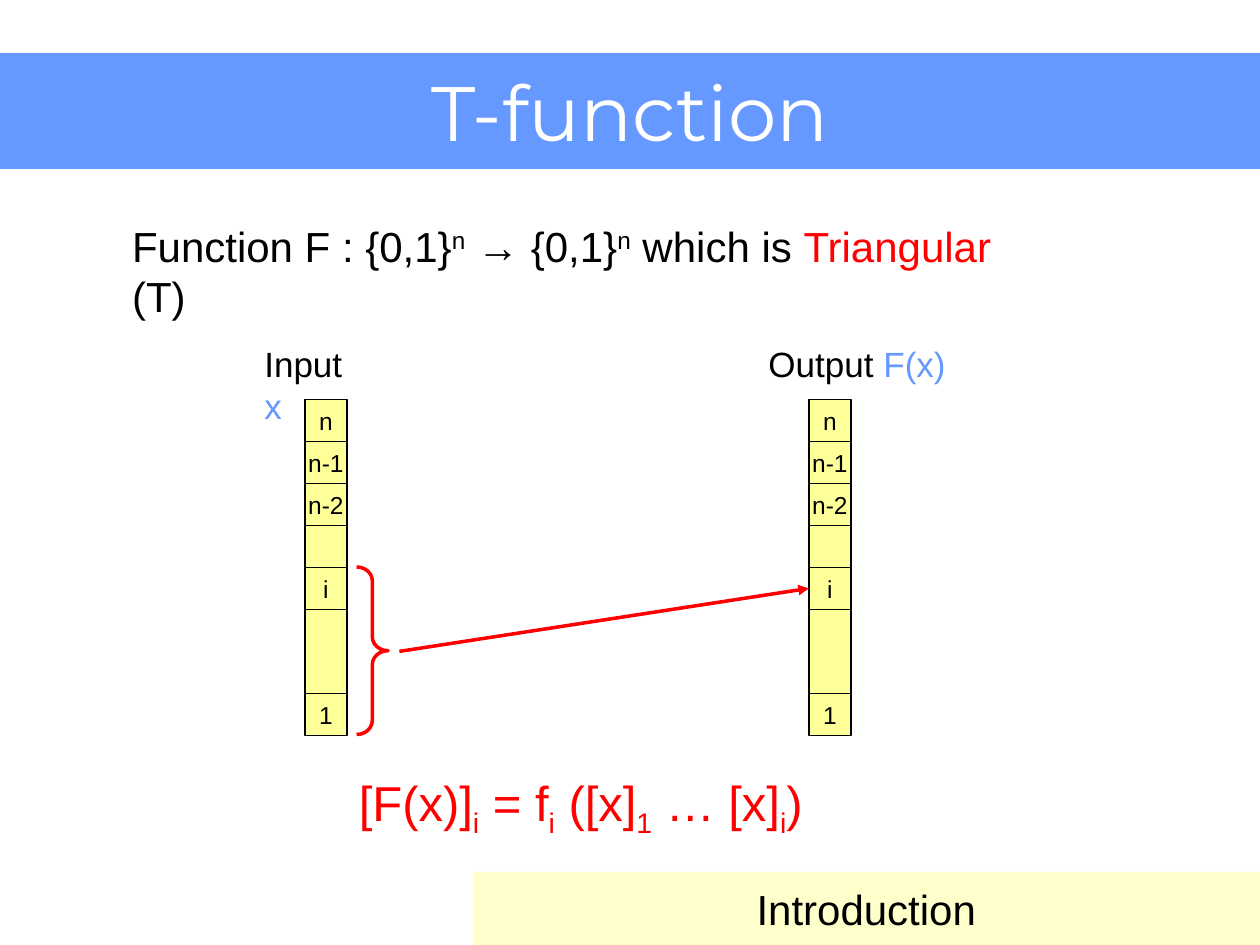
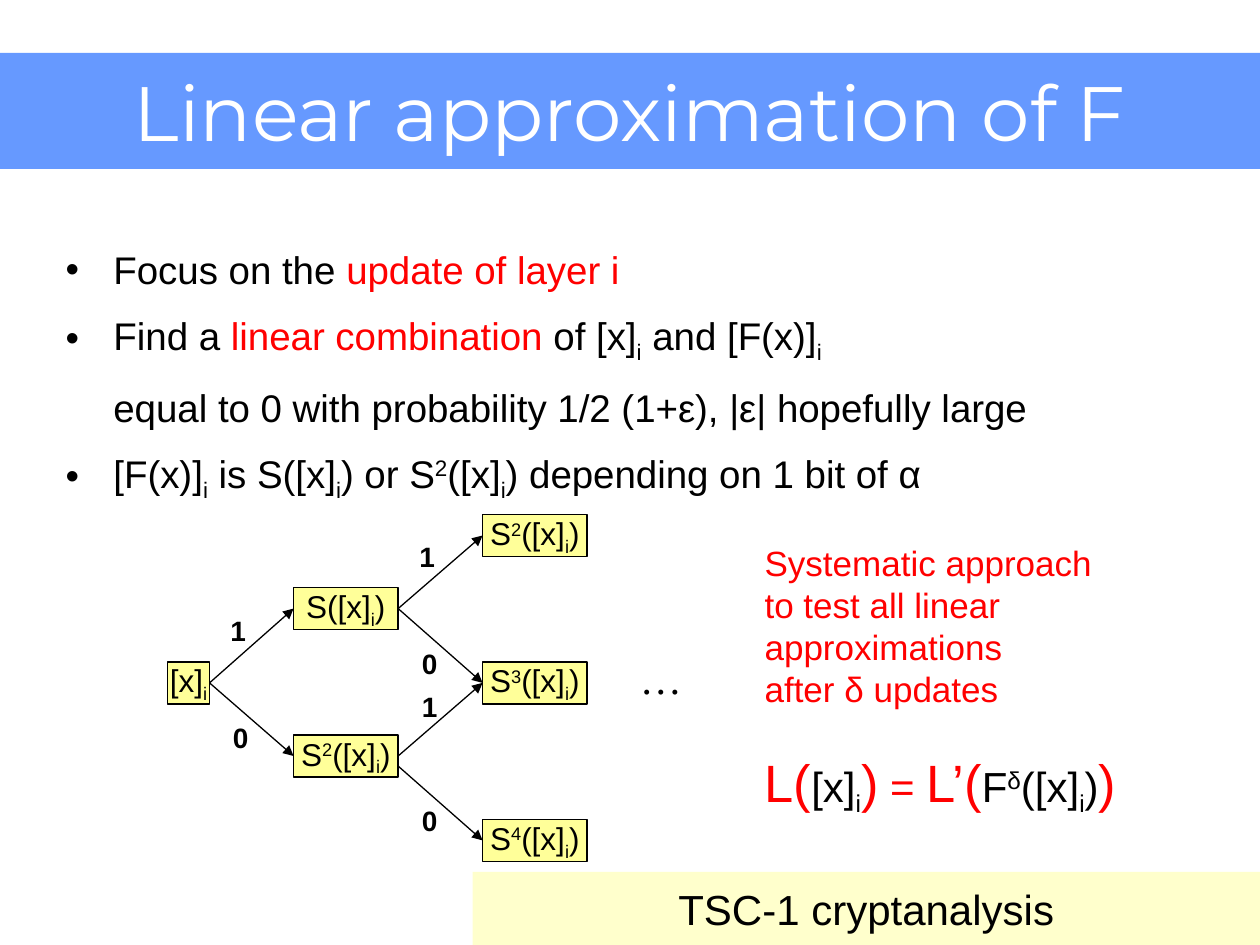
import pptx
import pptx.util
import pptx.dml.color
import pptx.enum.shapes
import pptx.enum.text
import pptx.oxml.ns
import lxml.etree

Inches = pptx.util.Inches
SHAPE = pptx.enum.shapes.MSO_SHAPE
ALIGN = pptx.enum.text.PP_ALIGN
CENTER = ALIGN.CENTER
MIDDLE = pptx.enum.text.MSO_ANCHOR.MIDDLE
SIDE = 1 / 3  # height of every box, width of a bit cell


class Theme:
    # Colours
    black, white, red = "000000", "FFFFFF", "FF0000"
    blue, cell, band = "6699FF", "FFFF99", "FFFFCC"
    # Fonts
    font, head, serif = "Arial", "Montserrat", "Times New Roman"
    # Type sizes
    title, law, big, lead, list, label, node, edge, bit = (
        44, 28, 30, 24, 22, 20, 18, 16, 14)
    # Line widths
    thin, thick = 0.75, 2


def color(code):
    return pptx.dml.color.RGBColor.from_string(code)


def child(parent, tag, **attrs):
    name = pptx.oxml.ns.qn("a:" + tag)
    return lxml.etree.SubElement(parent, name, attrs)


# ---- Text ----

def split(text):
    """Cut text into (part, shift); _ lowers and ^ lifts the next letter."""
    shifts = {"_": "-25000", "^": "30000"}
    parts, plain, shift = [], "", None
    for char in text:
        if char in shifts:
            shift = shifts[char]
        elif shift:
            parts += [(plain, None), (char, shift)]
            plain, shift = "", None
        else:
            plain += char
    parts.append((plain, None))
    return [part for part in parts if part[0]]


def write(par, pieces, size, font=Theme.font, tint=Theme.black, bold=False):
    """Fill a paragraph; a piece is text or (text, colour[, size])."""
    for piece in [pieces] if isinstance(pieces, str) else pieces:
        text, *style = [piece] if isinstance(piece, str) else piece
        for part, shift in split(text):
            run = par.add_run()
            run.text = part
            run.font.name = font
            run.font.size = pptx.util.Pt(style[1] if len(style) > 1 else size)
            run.font.bold = bold
            run.font.color.rgb = color(style[0] if style else tint)
            if shift:
                run.font._element.set("baseline", shift)


def label(slide, box, lines, size, wrap=False, **style):
    shape = slide.shapes.add_textbox(*map(Inches, box))
    frame = shape.text_frame
    frame.word_wrap = wrap
    for i, line in enumerate(lines):
        par = frame.add_paragraph() if i else frame.paragraphs[0]
        write(par, line, size, **style)
    return frame


# ---- Shapes ----

def block(slide, box, pieces, size, fill=Theme.cell, line=Theme.black):
    shape = slide.shapes.add_shape(SHAPE.RECTANGLE, *map(Inches, box))
    shape.shadow.inherit = False
    shape.fill.solid()
    shape.fill.fore_color.rgb = color(fill)
    if line:
        shape.line.color.rgb = color(line)
        shape.line.width = pptx.util.Pt(Theme.thin)
    else:
        shape.line.fill.background()
    frame = shape.text_frame
    frame.word_wrap = False
    frame.vertical_anchor = MIDDLE
    frame.paragraphs[0].alignment = CENTER
    write(frame.paragraphs[0], pieces, size)


def arrow(slide, start, end, tint=Theme.black, width=Theme.thin):
    kind = pptx.enum.shapes.MSO_CONNECTOR.STRAIGHT
    line = slide.shapes.add_connector(kind, *map(Inches, start + end))
    line.line.color.rgb = color(tint)
    line.line.width = pptx.util.Pt(width)
    child(line.line._get_or_add_ln(), "tailEnd", type="triangle")
    child(line._element.spPr, "effectLst")


def brace(slide, box):
    shape = slide.shapes.add_shape(SHAPE.RIGHT_BRACE, *map(Inches, box))
    shape.shadow.inherit = False
    shape.fill.background()
    shape.line.color.rgb = color(Theme.red)
    shape.line.width = pptx.util.Pt(Theme.thick)
    shape.adjustments[0] = 0.44


# ---- Shared page parts ----

def place(holder, box):
    holder.left, holder.top, holder.width, holder.height = map(Inches, box)
    holder.text_frame.auto_size = pptx.enum.text.MSO_AUTO_SIZE.NONE
    holder.text_frame.word_wrap = True


def page(deck, layout, title, topic):
    slide = deck.slides.add_slide(deck.slide_layouts.get_by_name(layout))
    head = slide.shapes.title
    place(head, (0, 0.42, 10, 0.92))
    head.fill.solid()
    head.fill.fore_color.rgb = color(Theme.blue)
    head.text_frame.vertical_anchor = MIDDLE
    par = head.text_frame.paragraphs[0]
    par.alignment = CENTER
    write(par, title, Theme.title, Theme.head, Theme.white)
    block(slide, (3.75, 6.92, 6.25, 0.58), topic, Theme.lead, Theme.band, None)
    return slide


def points(slide, items):
    """Fill the body; an item is (has a bullet, pieces)."""
    body = slide.placeholders[1]
    place(body, (0.42, 1.83, 9.25, 4.83))
    frame = body.text_frame
    for i, (dot, pieces) in enumerate(items):
        par = frame.add_paragraph() if i else frame.paragraphs[0]
        par.line_spacing = 1.2
        par.space_before = pptx.util.Pt(5.5)
        props = par._p.get_or_add_pPr()
        props.set("marL", str(Inches(0.38)))
        props.set("indent", str(Inches(-0.38 if dot else 0)))
        if dot:
            child(props, "buChar", char="•")
        else:
            child(props, "buNone")
        write(par, pieces, Theme.list)


# ---- Slide content ----

def column(slide, left):
    """Stack the bits of a word; a row is (text, height in cells)."""
    rows = [("n", 1), ("n-1", 1), ("n-2", 1), ("", 1), ("i", 1), ("", 2), ("1", 1)]
    top = 3.17
    for text, cells in rows:
        block(slide, (left, top, SIDE, cells * SIDE), text, Theme.bit)
        top += cells * SIDE


def define(deck):
    slide = page(deck, "Title Only", "T-function", "Introduction")
    label(slide, (0.95, 1.7, 7.48, 0.5),
          [["Function F : {0,1}^n → {0,1}^n which is ",
            ("Triangular", Theme.red), " (T)"]], Theme.lead, wrap=True)

    # Input and output words
    for left, width, name, value in [(2, 1.03, "Input ", "x"),
                                     (6, 1.61, "Output ", "F(x)")]:
        label(slide, (left, 2.67, width, 0.44),
              [[name, (value, Theme.blue)]], Theme.label)
        column(slide, left + 0.42)

    # Low bits that decide bit i
    brace(slide, (2.83, 4.5, 0.25, 1.33))
    arrow(slide, (3.17, 5.17), (6.42, 4.67), Theme.red, Theme.thick)
    label(slide, (2.75, 6.08, 4.36, 0.63), ["[F(x)]_i = f_i ([x]_1 … [x]_i)"],
          Theme.law, wrap=True, tint=Theme.red)


def tree(slide):
    # Nodes: left, middle, width, text
    nodes = {
        "x": (1.33, 5.42, SIDE, "[x]_i"),
        "s1": (2.33, 4.83, 0.83, "S([x]_i)"),
        "s2": (2.33, 6, 0.83, "S^2([x]_i)"),
        "up": (3.83, 4.25, 0.83, "S^2([x]_i)"),
        "mid": (3.83, 5.42, 0.83, "S^3([x]_i)"),
        "low": (3.83, 6.67, 0.83, "S^4([x]_i)"),
    }
    # Edges: from, to, drop of the start, bit, place of the bit
    edges = [
        ("x", "s1", 0, "1", (1.73, 4.82)),
        ("x", "s2", 0, "0", (1.75, 5.67)),
        ("s1", "up", 0, "1", (3.23, 4.23)),
        ("s1", "mid", 0, "0", (3.25, 5.08)),
        ("s2", "mid", 0, "1", (3.25, 5.42)),
        ("s2", "low", 0.08, "0", (3.25, 6.33)),
    ]
    for left, mid, width, text in nodes.values():
        block(slide, (left, mid - SIDE / 2, width, SIDE), text, Theme.node)
    for start, end, drop, bit, spot in edges:
        left, mid, width, _ = nodes[start]
        arrow(slide, (left + width, mid + drop), nodes[end][:2])
        label(slide, spot + (0.32, 0.37), [bit], Theme.edge, bold=True)


def approx(deck):
    slide = page(deck, "Title and Content", "Linear approximation of F",
                 "TSC-1 cryptanalysis")
    points(slide, [
        (True, ["Focus on the ", ("update of layer i", Theme.red)]),
        (True, ["Find a", (" linear combination ", Theme.red),
                "of [x]_i and [F(x)]_i"]),
        (False, "equal to 0 with probability 1/2 (1+ε), |ε| hopefully large"),
        (True, "[F(x)]_i is S([x]_i) or S^2([x]_i) depending on 1 bit of α"),
    ])
    tree(slide)
    label(slide, (4.98, 5.13, 0.53, 0.5), ["…"], Theme.lead, font=Theme.serif)

    # Test of all approximations
    red, big, black, lead = Theme.red, Theme.big, Theme.black, Theme.lead
    law = [("L(", red, big), ("[x]_i", black, lead), (")", red, big),
           (" = ", red, lead), ("L’(", red, big),
           ("F^δ([x]_i)", black, lead), (")", red, big)]
    frame = label(slide, (5.97, 4.25, 4.03, 1.97),
                  ["Systematic approach", "to test all linear approximations",
                   "after δ updates", law], Theme.label, wrap=True, tint=red)
    frame.paragraphs[-1].space_before = pptx.util.Pt(23)


def main():
    deck = pptx.Presentation()
    deck.slide_width, deck.slide_height = Inches(10), Inches(7.5)
    define(deck)
    approx(deck)
    deck.save("out.pptx")


if __name__ == "__main__":
    main()
